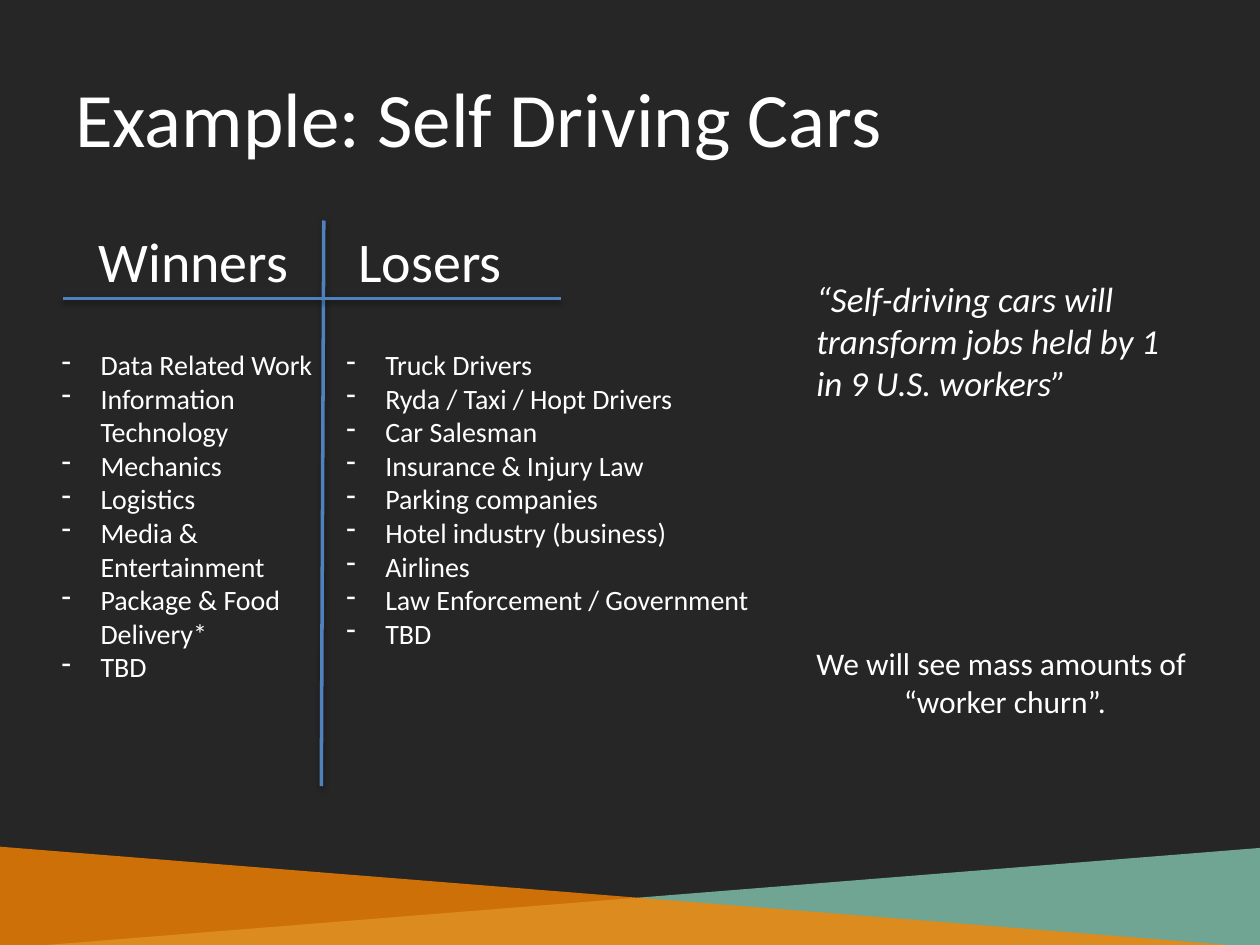
"""Build the slide on winners and losers of self driving cars."""
import lxml.etree
import pptx
import pptx.dml.color
import pptx.enum.shapes
import pptx.enum.text
import pptx.oxml.ns
import pptx.util

Inches = pptx.util.Inches
RGBColor = pptx.dml.color.RGBColor
ALIGN = pptx.enum.text.PP_ALIGN
ANCHOR = pptx.enum.text.MSO_ANCHOR
qn = pptx.oxml.ns.qn

DARK = RGBColor(0x26, 0x26, 0x26)
WHITE = RGBColor(0xFF, 0xFF, 0xFF)
BLUE = RGBColor(0x4F, 0x81, 0xBD)
GREEN = RGBColor(0x8E, 0xDB, 0xC0)
ORANGE = RGBColor(0xFA, 0x85, 0x00)

TITLE = "Example: Self Driving Cars"
HEADINGS = ["Winners", "Losers"]
WINNERS = [
    "Data Related Work",
    "Information \nTechnology",
    "Mechanics",
    "Logistics",
    "Media & \nEntertainment",
    "Package & Food \nDelivery*",
    "TBD",
]
LOSERS = [
    "Truck Drivers",
    "Ryda / Taxi / Hopt Drivers",
    "Car Salesman",
    "Insurance & Injury Law",
    "Parking companies",
    "Hotel industry (business)",
    "Airlines",
    "Law Enforcement / Government",
    "TBD",
]
QUOTE = "“Self-driving cars will transform jobs held by 1 in 9 U.S. workers”"
OUTLOOK = "We will see mass amounts of \n“worker churn”."

HANGING = Inches(0.31)
WEDGES = [((0, 6.73, 10, 0.8), GREEN, 70, True),
          ((0, 6.72, 10, 0.8), ORANGE, 79, False)]
RULES = [(2.57, 1.75, 2.55, 6.24), (0.5, 2.37, 4.45, 2.37)]
TEXTS = [
    ((0.5, 0.3, 9, 1.25), [TITLE], 44, {"anchor": ANCHOR.MIDDLE}),
    ((0.5, 1.75, 3.95, 0.62), HEADINGS, 32, {"align": ALIGN.CENTER, "columns": 2}),
    ((0.39, 2.71, 2.24, 2.79), WINNERS, 16, {"dashed": True, "wrap": False}),
    ((2.65, 2.71, 3.46, 2.52), LOSERS, 16, {"dashed": True, "wrap": False}),
    ((6.38, 2.15, 3.12, 1.11), [QUOTE], 20, {"italic": True}),
    ((6.38, 5.06, 3.19, 0.71), [OUTLOOK], 18, {"align": ALIGN.CENTER, "wrap": False}),
]


def add_wedge(slide, place, colour, opacity, flipped):
    wedge = slide.shapes.add_shape(
        pptx.enum.shapes.MSO_SHAPE.RIGHT_TRIANGLE, *map(Inches, place))
    wedge.shadow.inherit = False
    wedge.line.fill.background()
    wedge.fill.solid()
    wedge.fill.fore_color.rgb = colour
    tint = wedge.fill._xPr.find(".//" + qn("a:srgbClr"))
    lxml.etree.SubElement(tint, qn("a:alpha"), val=str(opacity * 1000))
    if flipped:
        wedge._element.spPr.find(qn("a:xfrm")).set("flipH", "1")


def add_rule(slide, ends):
    rule = slide.shapes.add_connector(
        pptx.enum.shapes.MSO_CONNECTOR.STRAIGHT, *map(Inches, ends))
    rule.line.color.rgb = BLUE
    rule.line.width = pptx.util.Pt(2)


def add_text(slide, place, lines, size, align=ALIGN.LEFT, anchor=ANCHOR.TOP,
             columns=1, dashed=False, wrap=True, italic=False):
    frame = slide.shapes.add_textbox(*map(Inches, place)).text_frame
    frame.word_wrap = wrap
    frame.vertical_anchor = anchor
    if columns > 1:
        frame._txBody.find(qn("a:bodyPr")).set("numCol", str(columns))
    look = {"name": "Calibri", "size": pptx.util.Pt(size), "italic": italic}
    for number, line in enumerate(lines):
        paragraph = frame.add_paragraph() if number else frame.paragraphs[0]
        paragraph.text = line
        paragraph.alignment = align
        if dashed:
            properties = paragraph._p.get_or_add_pPr()
            properties.set("marL", str(HANGING))
            properties.set("indent", str(-HANGING))
            lxml.etree.SubElement(properties, qn("a:buChar"), char="-")
        for run in paragraph.runs:
            for key, value in look.items():
                setattr(run.font, key, value)
            run.font.color.rgb = WHITE


def main():
    deck = pptx.Presentation()
    deck.slide_width, deck.slide_height = Inches(10), Inches(7.5)
    slide = deck.slides.add_slide(deck.slide_layouts[6])
    slide.background.fill.solid()
    slide.background.fill.fore_color.rgb = DARK
    for wedge in WEDGES:
        add_wedge(slide, *wedge)
    for ends in RULES:
        add_rule(slide, ends)
    for place, lines, size, options in TEXTS:
        add_text(slide, place, lines, size, **options)
    deck.save("out.pptx")


if __name__ == "__main__":
    main()
